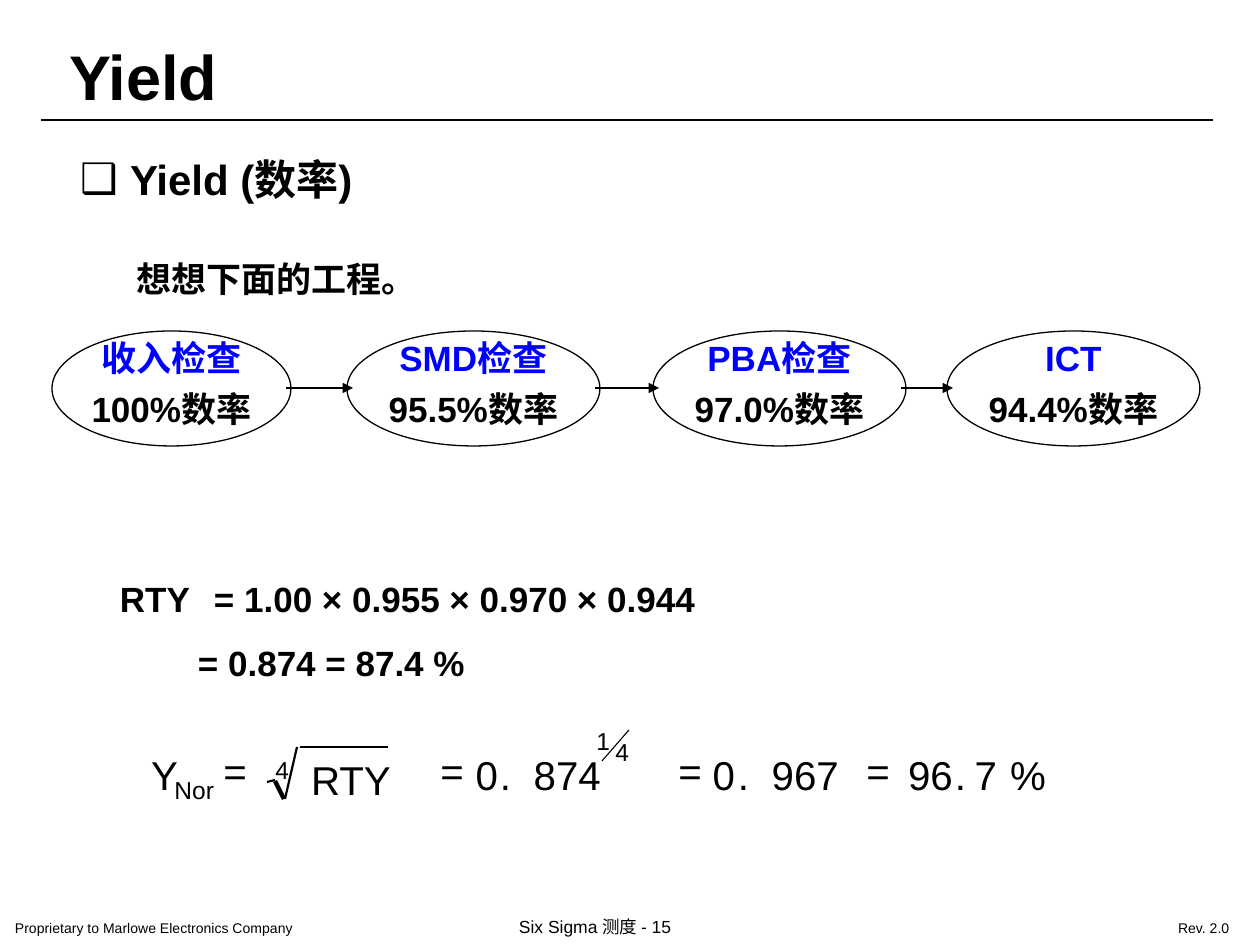
from lxml.etree import SubElement
from pptx import Presentation
from pptx.dml.color import RGBColor
from pptx.enum.shapes import MSO_CONNECTOR, MSO_SHAPE
from pptx.enum.text import MSO_ANCHOR, PP_ALIGN
from pptx.oxml.ns import qn
from pptx.util import Emu, Pt

SCALE = 914400 / 126
HUES = {"ink": "000000", "blue": "0000FF"}


def px(size):
    return Emu(round(size * SCALE))


def hue(name):
    return RGBColor.from_string(HUES[name])


class Deck:
    font = "Arial"

    def __init__(self):
        self.file = Presentation()
        self.file.slide_width = px(1260)
        self.file.slide_height = px(945)
        self.slide = self.file.slides.add_slide(self.file.slide_layouts[5])
        self.shapes = self.slide.shapes

    def style(self, para, size, bold=False, tint="ink", align=PP_ALIGN.LEFT):
        font = para.font
        font.name, font.size, font.bold = self.font, Pt(size), bold
        font.color.rgb = hue(tint)
        para.alignment = align

    def frame(self, shape, inset=(0, 0, 0, 0), wrap=True, anchor=MSO_ANCHOR.TOP):
        frame = shape.text_frame
        frame.word_wrap = wrap
        frame.vertical_anchor = anchor
        (frame.margin_left, frame.margin_top,
         frame.margin_right, frame.margin_bottom) = map(px, inset)
        return frame

    def title(self, text, box):
        shape = self.shapes.title
        shape.left, shape.top, shape.width, shape.height = map(px, box)
        frame = self.frame(shape, (30, 5, 13, 0))
        frame.text = text
        self.style(frame.paragraphs[0], 36, True)

    def text(self, text, box, size, bold=False, inset=(0, 0, 0, 0), wrap=True,
             align=PP_ALIGN.LEFT, anchor=MSO_ANCHOR.TOP):
        frame = self.frame(self.shapes.add_textbox(*map(px, box)), inset, wrap, anchor)
        frame.text = text
        for para in frame.paragraphs:
            self.style(para, size, bold, align=align)
        return frame.paragraphs

    def bullet(self, text, box, size, char, gap):
        para = self.text(text, box, size, True, (30, 0, 0, 0), False,
                         anchor=MSO_ANCHOR.MIDDLE)[0]
        props = para._p.get_or_add_pPr()
        props.set("marL", str(px(gap)))
        props.set("indent", str(-px(gap)))
        tint = SubElement(props, qn("a:buClr"))
        SubElement(tint, qn("a:srgbClr")).set("val", HUES["ink"])
        SubElement(props, qn("a:buFont")).set("typeface", self.font)
        SubElement(props, qn("a:buChar")).set("char", char)

    def sums(self, text, box, size, tab, indent):
        first, last = self.text(text, box, size, True, (10, 0, 0, 0))
        tabs = SubElement(first._p.get_or_add_pPr(), qn("a:tabLst"))
        stop = SubElement(tabs, qn("a:tab"))
        stop.set("pos", str(px(tab)))
        stop.set("algn", "l")
        last._p.get_or_add_pPr().set("marL", str(px(indent)))
        last.space_before = Pt(13)

    def oval(self, name, rate, box):
        shape = self.shapes.add_shape(MSO_SHAPE.OVAL, *map(px, box))
        shape.shadow.inherit = False
        shape.fill.background()
        shape.line.color.rgb = hue("ink")
        shape.line.width = Pt(0.75)
        frame = self.frame(shape, wrap=False, anchor=MSO_ANCHOR.MIDDLE)
        frame.text = f"{name}\n{rate}"
        for para, tint in zip(frame.paragraphs, ("blue", "ink")):
            self.style(para, 20, True, tint, PP_ALIGN.CENTER)
            para.line_spacing = 0.7
        frame.paragraphs[1].space_before = Pt(12.5)

    def line(self, ends, width, arrow=False):
        link = self.shapes.add_connector(MSO_CONNECTOR.STRAIGHT, *map(px, ends))
        link.line.color.rgb = hue("ink")
        link.line.width = Pt(width)
        props = link._element.spPr
        if arrow:
            SubElement(props.find(qn("a:ln")), qn("a:tailEnd")).set("type", "triangle")
        SubElement(props, qn("a:effectLst"))


STEPS = [
    ("收入检查", "100%数率", 52, 239),
    ("SMD检查", "95.5%数率", 347, 253),
    ("PBA检查", "97.0%数率", 653, 253),
    ("ICT", "94.4%数率", 947, 253),
]
FOOT = [
    ("Proprietary to Marlowe Electronics Company", (0, 912, 404, 32), 8),
    ("Six Sigma 测度 - 15", (504, 908, 257, 37), 10),
    ("Rev. 2.0", (1163, 912, 83, 32), 8),
]
SLACK = 6
TERMS = [
    (23, 48, [
        ("Y", 151, 750, 27), ("=", 223, 746, 24), ("RTY", 310, 755, 81),
        ("=", 440, 746, 24), ("0", 475, 750, 23), (".", 500, 750, 11),
        ("874", 534, 750, 67), ("=", 678, 746, 24), ("0", 712, 750, 23),
        (".", 738, 750, 11), ("967", 772, 750, 67), ("=", 866, 746, 24),
        ("96", 908, 750, 45), (".", 955, 750, 11), ("7", 974, 750, 23),
        ("%", 1009, 750, 37)]),
    (14, 29, [
        ("Nor", 175, 775, 39), ("4", 275, 755, 14),
        ("1", 596, 726, 14), ("4", 615, 737, 14)]),
]
STROKES = [
    ((267, 782, 275, 780), 1.25),
    ((275, 781, 284, 799), 2.5),
    ((285, 799, 297, 747), 1.25),
    ((300, 747, 388, 747), 1.25),
    ((629, 730, 602, 761), 0.62),
]


def main():
    deck = Deck()
    deck.title("Yield", (39, 32, 780, 88))
    deck.line((41, 120, 1213, 120), 1.5)
    deck.bullet("Yield (数率)", (50, 149, 524, 60), 24, "❑", 50)
    deck.text("想想下面的工程。", (123, 251, 790, 55), 20, True, (13, 6, 13, 6))

    top, tall = 331, 115
    for name, rate, left, wide in STEPS:
        deck.oval(name, rate, (left, top, wide, tall))
    mid = top + tall // 2
    for (_, _, left, wide), (_, _, goal, _) in zip(STEPS, STEPS[1:]):
        deck.line((left + wide - 5, mid, goal + 6, mid), 0.75, True)

    deck.sums("RTY\t= 1.00 × 0.955 × 0.970 × 0.944\n= 0.874 = 87.4 %",
              (110, 577, 805, 106), 20, 94, 78)

    for ends, width in STROKES:
        deck.line(ends, width)
    for size, high, terms in TERMS:
        for text, left, y, wide in terms:
            deck.text(text, (left - SLACK, y, wide + SLACK, high), size,
                      wrap=False, align=PP_ALIGN.RIGHT)

    for text, box, size in FOOT:
        deck.text(text, box, size, inset=(15, 8, 15, 8), wrap=False)
    deck.file.save("out.pptx")


if __name__ == "__main__":
    main()
